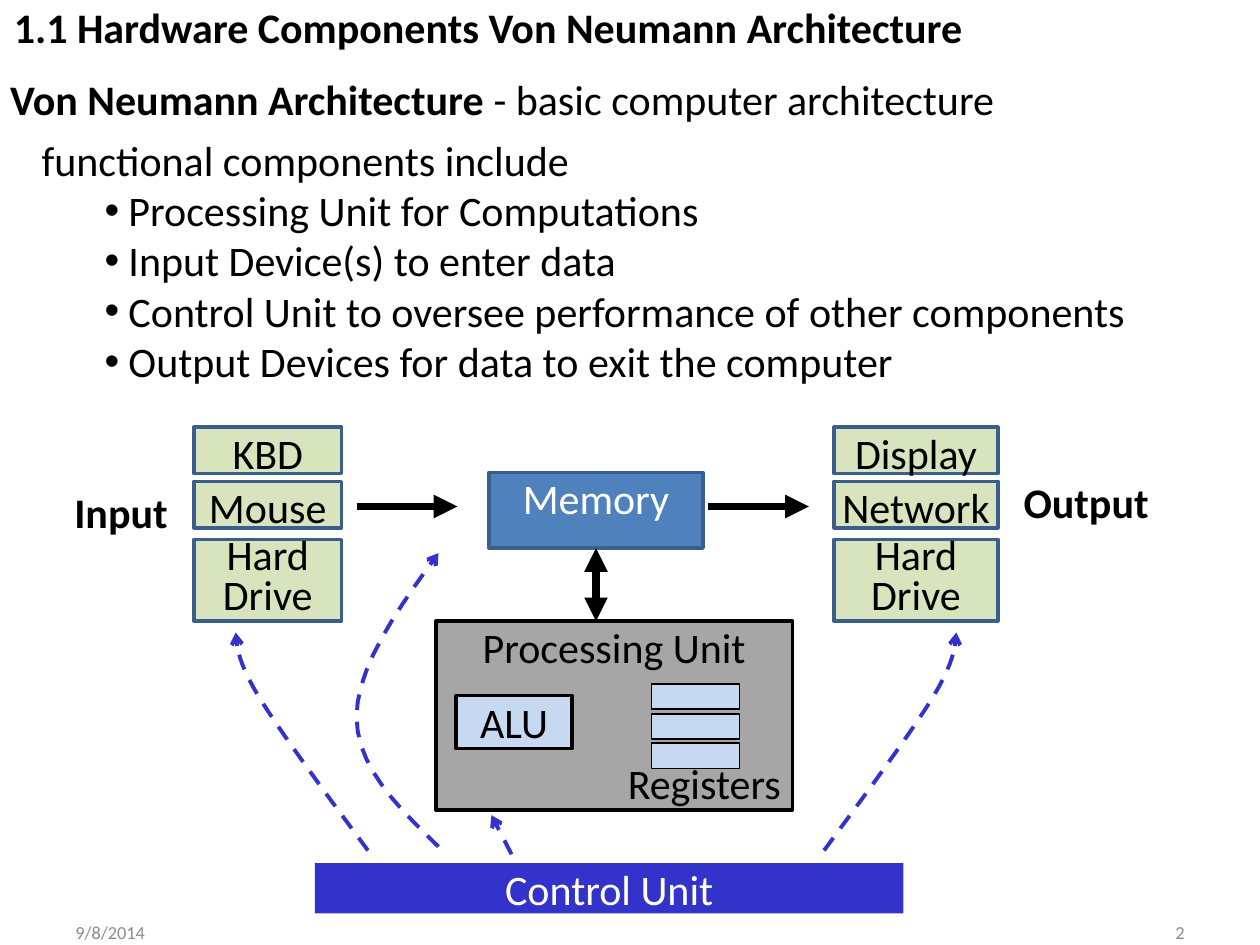
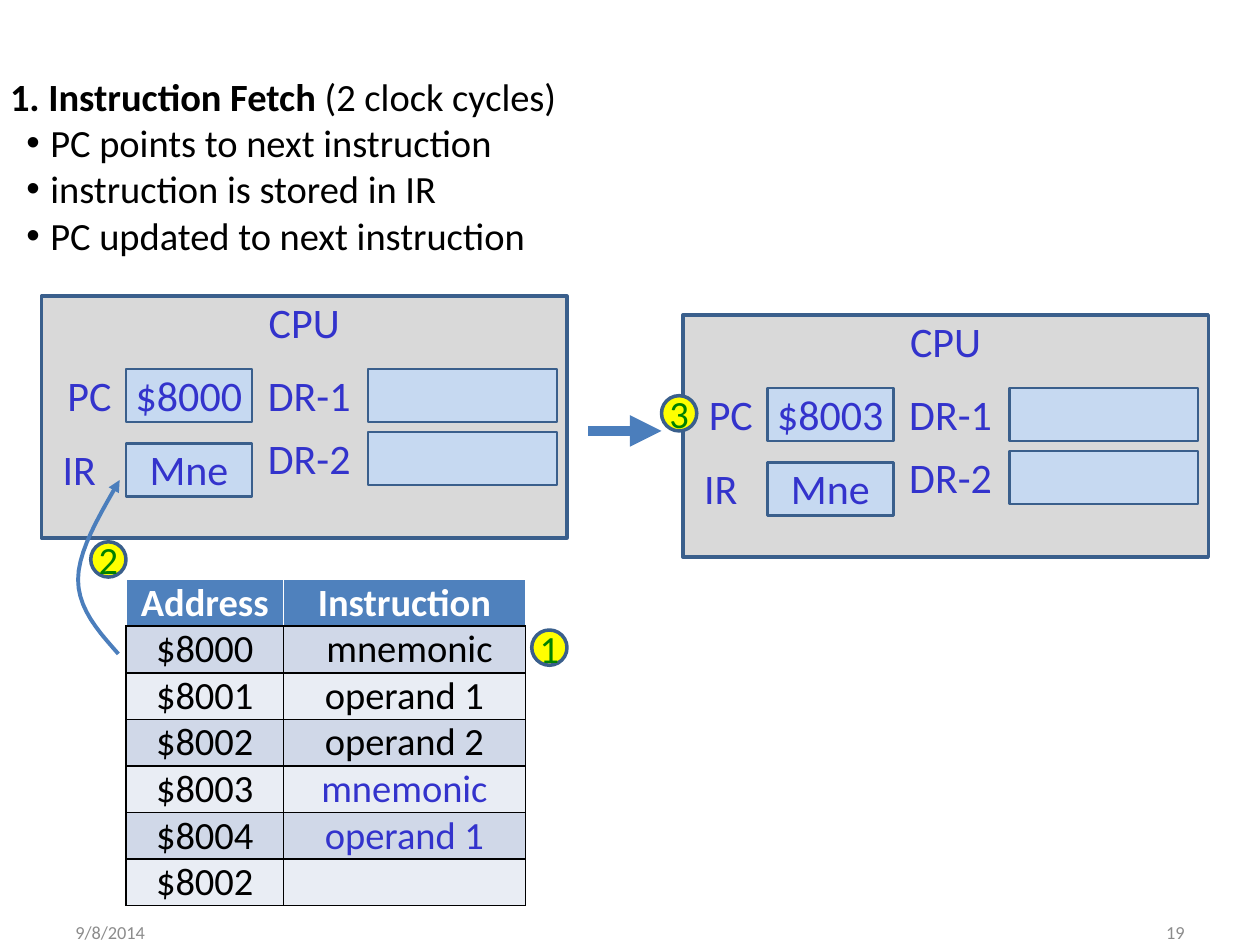
from lxml.etree import SubElement
from pptx import Presentation
from pptx.dml.color import RGBColor
from pptx.enum.dml import MSO_LINE
from pptx.enum.shapes import MSO_CONNECTOR, MSO_SHAPE
from pptx.enum.text import MSO_ANCHOR, PP_ALIGN
from pptx.oxml.ns import qn
from pptx.util import Inches, Pt

FONT = "Calibri"
BLACK = RGBColor(0x00, 0x00, 0x00)
WHITE = RGBColor(0xFF, 0xFF, 0xFF)
FOOTER_GRAY = RGBColor(0x8C, 0x8C, 0x8C)
UNIT_GRAY = RGBColor(0xA6, 0xA6, 0xA6)
CPU_GRAY = RGBColor(0xD9, 0xD9, 0xD9)
INDIGO = RGBColor(0x33, 0x33, 0xCC)
BLUE = RGBColor(0x4F, 0x81, 0xBD)
EDGE_BLUE = RGBColor(0x3A, 0x5F, 0x8C)
ARROW_BLUE = RGBColor(0x4B, 0x7E, 0xBC)
REGISTER_BLUE = RGBColor(0xC6, 0xD9, 0xF1)
DEVICE_GREEN = RGBColor(0xD7, 0xE4, 0xBD)
ROW_DARK = RGBColor(0xD0, 0xD8, 0xE8)
ROW_LIGHT = RGBColor(0xE9, 0xED, 0xF4)
YELLOW = RGBColor(0xFF, 0xFF, 0x00)
GREEN = RGBColor(0x00, 0x80, 0x00)


def write(paragraph, text, size=24, color=BLACK, bold=False, align=PP_ALIGN.CENTER):
    run = paragraph.add_run()
    run.text = text
    run.font.name = FONT
    run.font.size = Pt(size)
    run.font.bold = bold
    run.font.color.rgb = color
    paragraph.alignment = align
    return paragraph


def prepare_frame(frame, anchor, inset=0):
    frame.word_wrap = True
    frame.vertical_anchor = anchor
    frame.margin_left = frame.margin_right = Inches(inset)
    frame.margin_top = frame.margin_bottom = Inches(inset / 2)
    return frame


def add_frame(slide, box, anchor=MSO_ANCHOR.TOP, inset=0):
    area = slide.shapes.add_textbox(*map(Inches, box))
    return prepare_frame(area.text_frame, anchor, inset)


def add_label(slide, box, text, inset=0, **text_format):
    frame = add_frame(slide, box, MSO_ANCHOR.MIDDLE, inset)
    write(frame.paragraphs[0], text, **text_format)


def add_block(slide, box, fill, text="", edge=None, weight=2, anchor=MSO_ANCHOR.TOP,
              kind=MSO_SHAPE.RECTANGLE, **text_format):
    block = slide.shapes.add_shape(kind, *map(Inches, box))
    block.shadow.inherit = False
    block.fill.solid()
    block.fill.fore_color.rgb = fill
    if edge is None:
        block.line.fill.background()
    else:
        block.line.color.rgb = edge
        block.line.width = Pt(weight)
    frame = prepare_frame(block.text_frame, anchor)
    if text:
        write(frame.paragraphs[0], text, **text_format)
    return block


def style_arrow(arrow, color, weight, tail="triangle", head=None, dash=None):
    arrow.line.color.rgb = color
    arrow.line.width = Pt(weight)
    if dash:
        arrow.line.dash_style = dash
    outline = arrow.element.spPr.find(qn("a:ln"))
    for end, tip in (("a:headEnd", head), ("a:tailEnd", tail)):
        if tip:
            SubElement(outline, qn(end), type=tip)


def add_arrow(slide, start, end, color, weight, **tips):
    arrow = slide.shapes.add_connector(MSO_CONNECTOR.STRAIGHT, *map(Inches, (*start, *end)))
    style_arrow(arrow, color, weight, **tips)
    SubElement(arrow.element.spPr, qn("a:effectLst"))
    return arrow


def bezier_points(start, first, second, end, steps=10):
    for step in range(1, steps + 1):
        t = step / steps
        weights = ((1 - t) ** 3, 3 * t * (1 - t) ** 2, 3 * t * t * (1 - t), t ** 3)
        yield tuple(Inches(sum(w * point[axis] for w, point in
                               zip(weights, (start, first, second, end))))
                    for axis in (0, 1))


def add_curve(slide, nodes, color, **arrow_format):
    outline = slide.shapes.build_freeform(*map(Inches, nodes[0]))
    for index in range(0, len(nodes) - 1, 3):
        outline.add_line_segments(bezier_points(*nodes[index:index + 4]), close=False)
    curve = outline.convert_to_shape()
    curve.shadow.inherit = False
    curve.fill.background()
    style_arrow(curve, color, 2.25, **arrow_format)


def add_bullet(paragraph, left, hanging):
    properties = paragraph._p.get_or_add_pPr()
    properties.set("marL", str(Inches(left)))
    properties.set("indent", str(Inches(-hanging)))
    SubElement(properties, qn("a:buFont"), typeface="Arial")
    SubElement(properties, qn("a:buChar"), char="•")


def add_outline(slide, box, heading, remark, bullets, left, hanging, size, subheading=None):
    frame = add_frame(slide, box)
    lead = frame.paragraphs[0]
    write(lead, heading, size, bold=True, align=PP_ALIGN.LEFT)
    write(lead, remark, size, align=PP_ALIGN.LEFT)
    if subheading:
        line = frame.add_paragraph()
        line._p.get_or_add_pPr().set("marL", str(Inches(0.25)))
        line.space_before = Pt(6)
        write(line, subheading, size, align=PP_ALIGN.LEFT)
    for bullet in bullets:
        item = frame.add_paragraph()
        add_bullet(item, left, hanging)
        write(item, bullet, size, align=PP_ALIGN.LEFT)


def add_footer(slide, number):
    for left, text, align in ((0.5, "9/8/2014", PP_ALIGN.LEFT), (7.17, number, PP_ALIGN.RIGHT)):
        add_label(slide, (left, 7.31, 2.33, 0.18), text, inset=0.1,
                  size=10.5, color=FOOTER_GRAY, align=align)


def add_title(slide, box, text):
    title = slide.shapes.title
    title.left, title.top, title.width, title.height = map(Inches, box)
    title.fill.solid()
    title.fill.fore_color.rgb = WHITE
    frame = prepare_frame(title.text_frame, MSO_ANCHOR.MIDDLE)
    write(frame.paragraphs[0], text, bold=True)


def add_devices(slide, box, names):
    left, top, width = box
    for name, offset, height in zip(names, (0, 0.43, 0.89), (0.37, 0.37, 0.65)):
        device = add_block(slide, (left, top + offset, width, height),
                           DEVICE_GREEN, name, edge=EDGE_BLUE)
        if " " in name:
            device.text_frame.paragraphs[0].line_spacing = Pt(22.8)


def add_processing_unit(slide, box):
    left, top = box[:2]
    add_block(slide, box, UNIT_GRAY, "Processing Unit", edge=BLACK)
    add_block(slide, (left + 0.16, top + 0.59, 0.92, 0.42), REGISTER_BLUE, "ALU",
              edge=BLACK, anchor=MSO_ANCHOR.MIDDLE)
    add_label(slide, (left + 1.42, top + 1.07, 1.42, 0.42), "Registers")
    for row in range(3):
        add_block(slide, (left + 1.71, top + 0.5 + row * 0.235, 0.7, 0.2),
                  REGISTER_BLUE, edge=BLACK, weight=1)


def add_cpu(slide, box, counter):
    left, top = box[:2]
    add_block(slide, box, CPU_GRAY, "CPU", edge=EDGE_BLUE, color=INDIGO)
    for name, x, y, width in (("PC", 0.17, 0.58, 0.42), ("IR", 0.09, 1.17, 0.42),
                              ("DR-1", 1.79, 0.58, 0.67), ("DR-2", 1.79, 1.08, 0.67)):
        add_block(slide, (left + x, top + y, width, 0.42), CPU_GRAY, name, color=INDIGO)
    for value, x, y, width in ((counter, 0.67, 0.58, 1), ("Mne", 0.67, 1.17, 1),
                               ("", 2.59, 0.58, 1.5), ("", 2.59, 1.08, 1.5)):
        add_block(slide, (left + x, top + y, width, 0.42), REGISTER_BLUE, value,
                  edge=EDGE_BLUE, weight=1.5, color=INDIGO)


def set_borders(cell, colors):
    properties = cell._tc.get_or_add_tcPr()
    for side, color in zip(("L", "R", "T", "B"), colors):
        border = SubElement(properties, qn(f"a:ln{side}"), w=str(Pt(1)))
        SubElement(SubElement(border, qn("a:solidFill")), qn("a:srgbClr"), val=str(color))


def add_memory_table(slide, box):
    rows = (("Address", "Instruction"), ("$8000", "mnemonic"), ("$8001", "operand 1"),
            ("$8002", "operand 2"), ("$8003", "mnemonic"), ("$8004", "operand 1"),
            ("$8002", ""))
    memory = slide.shapes.add_table(len(rows), 2, *map(Inches, box)).table
    for column, width in zip(memory.columns, (1.25, 1.92)):
        column.width = Inches(width)
    for r, row in enumerate(rows):
        memory.rows[r].height = Inches(0.37)
        header = r == 0
        for c, text in enumerate(row):
            cell = memory.cell(r, c)
            cell.margin_left = cell.margin_right = cell.margin_top = cell.margin_bottom = 0
            set_borders(cell, (WHITE, WHITE, WHITE, BLACK) if header else (BLACK,) * 4)
            cell.fill.solid()
            cell.fill.fore_color.rgb = BLUE if header else ROW_DARK if r % 2 else ROW_LIGHT
            color = WHITE if header else INDIGO if c == 1 and r > 3 else BLACK
            if text:
                write(cell.text_frame.paragraphs[0], text, 22, color, bold=header)
    memory.cell(1, 1).margin_left = Inches(0.08)


def build_architecture_slide(prs):
    slide = prs.slides.add_slide(prs.slide_layouts[5])
    add_title(slide, (0, 0, 7.75, 0.42), "1.1 Hardware Components Von Neumann Architecture")
    add_outline(slide, (0.08, 0.58, 8.93, 2.51), "Von Neumann Architecture",
                " - basic computer architecture",
                ("Processing Unit for Computations", "Input Device(s) to enter data",
                 "Control Unit to oversee performance of other components",
                 "Output Devices for data to exit the computer"),
                0.94, 0.19, 24, subheading="functional components include")
    add_processing_unit(slide, (3.46, 4.93, 2.83, 1.5))
    add_block(slide, (2.5, 6.85, 4.67, 0.4), INDIGO, "Control Unit", color=WHITE)
    memory = add_block(slide, (3.88, 3.75, 1.7, 0.6), BLUE, "Memory",
                       edge=EDGE_BLUE, color=WHITE)
    add_label(slide, (0.25, 3.85, 1.42, 0.42), "Input", bold=True)
    add_devices(slide, (1.54, 3.39, 1.17), ("KBD", "Mouse", "Hard Drive"))
    add_label(slide, (7.83, 3.77, 1.58, 0.42), "Output", bold=True)
    add_devices(slide, (6.62, 3.39, 1.3), ("Display", "Network", "Hard Drive"))
    for start in (2.83, 5.62):
        add_arrow(slide, (start, 4.02), (start + 0.8, 4.02), BLACK, 4.5)
    exchange = add_arrow(slide, (4.73, 4.35), (4.73, 4.93), BLACK, 4.5, head="triangle")
    exchange.begin_connect(memory, 2)
    to_input = ((2.92, 6.75), (2.58, 6.29), (2.24, 5.83), (2.06, 5.54),
                (1.89, 5.26), (1.88, 5.14), (1.87, 5.02))
    to_output = tuple((9.46 - x, y) for x, y in to_input)
    to_memory = ((3.48, 6.72), (3.15, 6.4), (2.83, 6.08), (2.83, 5.69),
                 (2.83, 5.3), (3.15, 4.84), (3.48, 4.39))
    for nodes in (to_input, to_output, to_memory):
        add_curve(slide, nodes, INDIGO, tail="arrow", dash=MSO_LINE.DASH)
    add_arrow(slide, (4.06, 6.78), (3.9, 6.47), INDIGO, 2.25,
              tail="arrow", dash=MSO_LINE.DASH)
    add_footer(slide, "2")


def build_fetch_slide(prs):
    slide = prs.slides.add_slide(prs.slide_layouts[6])
    add_outline(slide, (0.08, 0.58, 5.17, 1.48), "1. Instruction Fetch ", "(2 clock cycles)",
                ("PC points to next instruction", "instruction is stored in IR",
                 "PC updated to next instruction"), 0.32, 0.19, 22)
    add_memory_table(slide, (1, 4.6, 3.17, 2.59))
    add_cpu(slide, (0.33, 2.35, 4.17, 1.92), "$8000")
    add_cpu(slide, (5.42, 2.5, 4.17, 1.92), "$8003")
    add_curve(slide, ((0.94, 5.19), (0.78, 5.01), (0.62, 4.83), (0.62, 4.6),
                      (0.62, 4.37), (0.79, 4.09), (0.95, 3.81)), ARROW_BLUE)
    for step, left, top in (("1", 4.22, 5), ("2", 0.72, 4.3), ("3", 5.25, 3.14)):
        add_block(slide, (left, top, 0.28, 0.28), YELLOW, step, edge=EDGE_BLUE,
                  anchor=MSO_ANCHOR.MIDDLE, kind=MSO_SHAPE.OVAL, size=22, color=GREEN)
    add_arrow(slide, (4.67, 3.42), (5.25, 3.42), ARROW_BLUE, 6)
    add_footer(slide, "19")


def main():
    prs = Presentation()
    prs.slide_width, prs.slide_height = Inches(10), Inches(7.5)
    build_architecture_slide(prs)
    build_fetch_slide(prs)
    prs.save("out.pptx")


if __name__ == "__main__":
    main()
